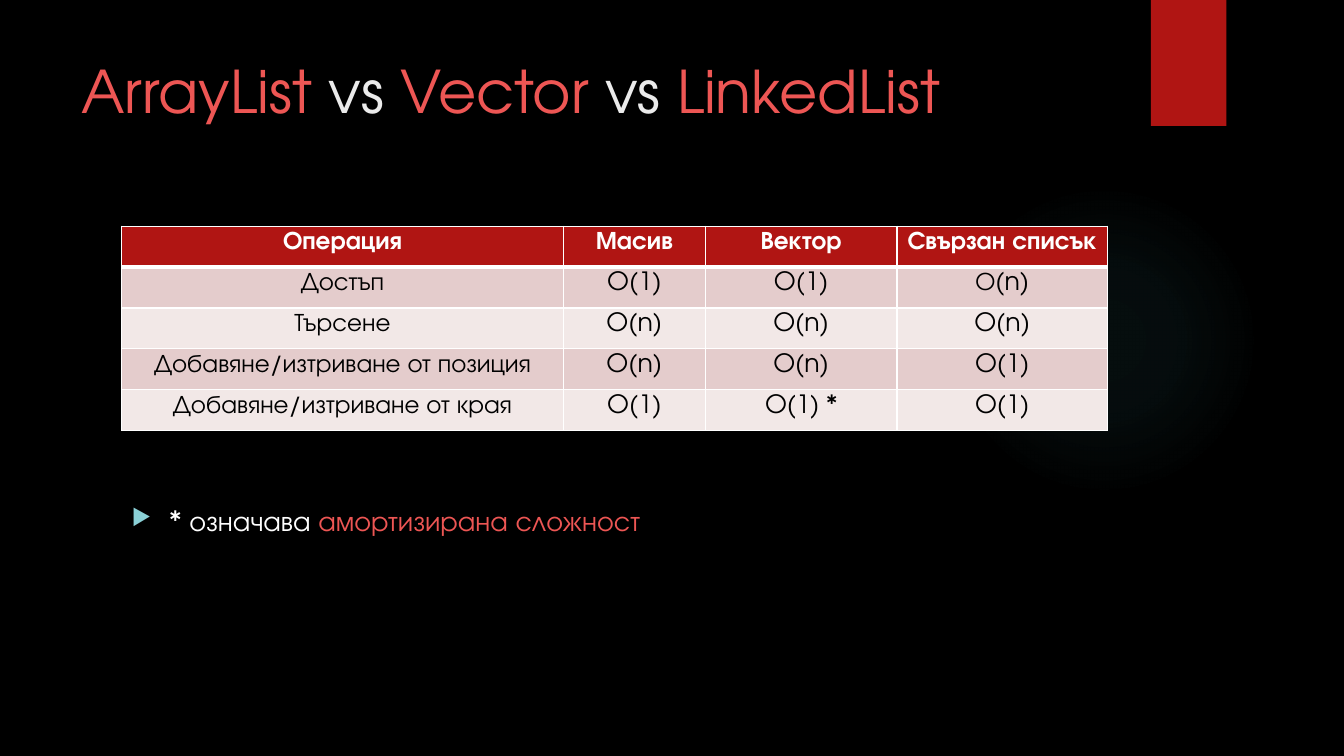
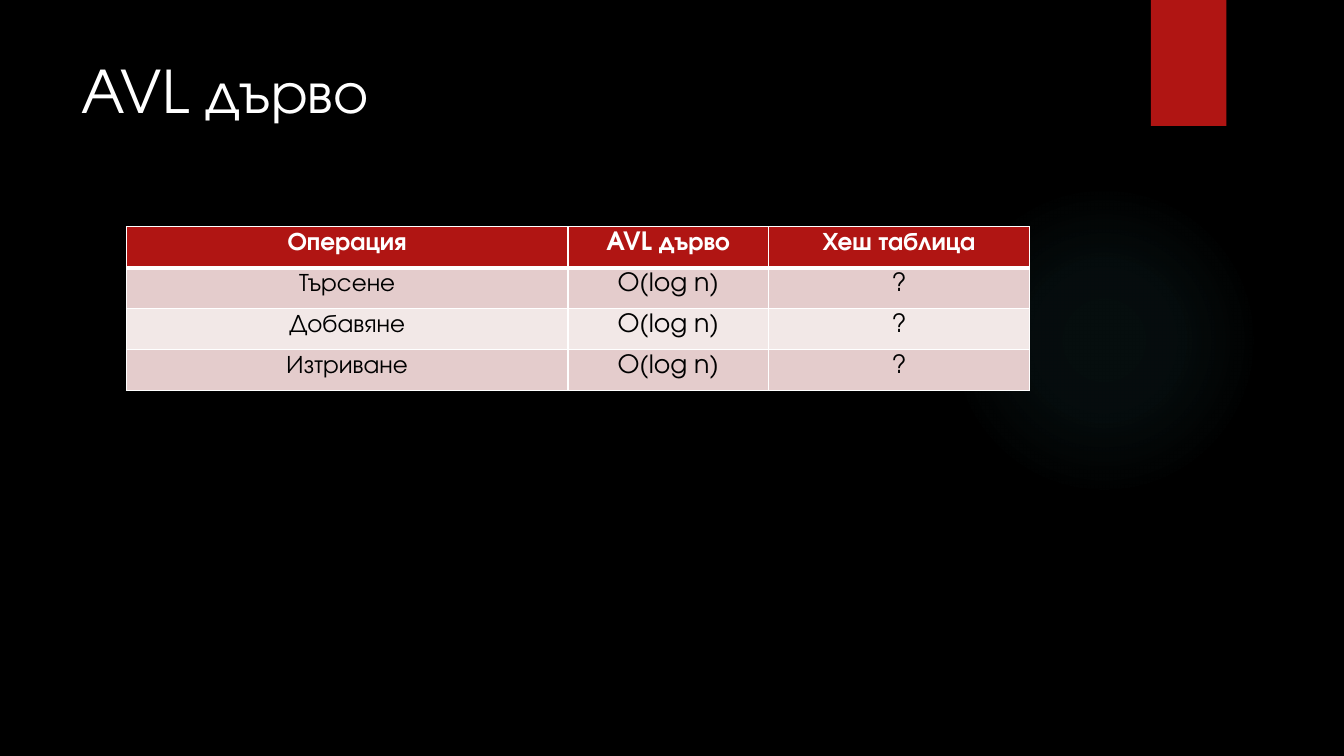
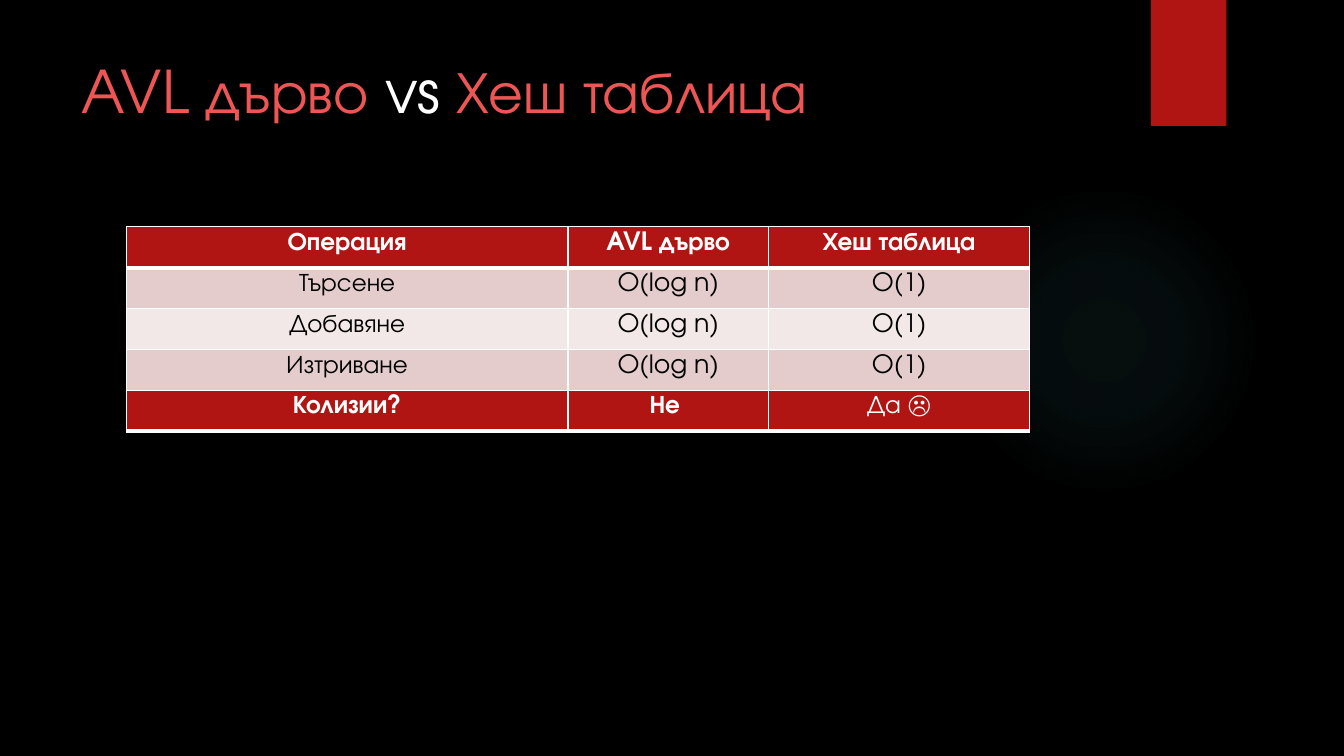
from pptx import Presentation
from pptx.dml.color import RGBColor
from pptx.enum.shapes import MSO_SHAPE as Geo
from pptx.enum.text import MSO_ANCHOR as Anchor, PP_ALIGN as Align
from pptx.oxml import parse_xml
from pptx.oxml.ns import nsdecls, qn
from pptx.util import Pt

FONT = "TeX Gyre Adventor"
BLACK = RGBColor(0x00, 0x00, 0x00)
WHITE = RGBColor(0xFF, 0xFF, 0xFF)
PALE = RGBColor(0xEB, 0xEB, 0xEB)
RED = RGBColor(0xB0, 0x15, 0x13)
CORAL = RGBColor(0xED, 0x56, 0x54)
BANDS = RGBColor(0xE4, 0xCC, 0xCC), RGBColor(0xF2, 0xE8, 0xE7)
TEAL = RGBColor(0x50, 0xB9, 0xC1)
AQUA = RGBColor(0x8A, 0xD0, 0xD6)

ROW = 29.2
LEFT = 90.3
TOP = 162
COLS = [315.4, 143.3, 186.5]
HEAD = ["Операция", "AVL дърво", "Хеш таблица"]
TASKS = ["Търсене", "Добавяне", "Изтриване"]


def tree(cost):
    return [HEAD] + [[task, "O(log n)", cost] for task in TASKS]


LISTS = [
    ["Операция", "Масив", "Вектор", "Свързан списък"],
    ["Достъп", "O(1)", "O(1)", "О(n)"],
    ["Търсене", "O(n)", "O(n)", "O(n)"],
    ["Добавяне/изтриване от позиция", "O(n)", "O(n)", "O(1)"],
    ["Добавяне/изтриване от края", "O(1)", "O(1) *", "O(1)"],
]
SLIDES = [
    {
        "title": [("ArrayList", CORAL), (" vs ", PALE), ("Vector", CORAL),
                  (" vs ", PALE), ("LinkedList", CORAL)],
        "tables": [(87, 161.6, [315.4, 101.5, 136.8, 150.5], LISTS)],
        "note": [("* означава ", WHITE), ("амортизирана сложност", CORAL)],
    },
    {
        "title": [("AVL дърво", WHITE)],
        "tables": [(LEFT, TOP, COLS, tree("?"))],
    },
    {
        "title": [("AVL дърво ", CORAL), ("vs ", WHITE), ("Хеш таблица", CORAL)],
        "tables": [
            (LEFT, TOP, COLS, tree("O(1)")),
            (LEFT, TOP + 4 * ROW, COLS, [["Колизии?", "Не ", "Да ☹"]]),
        ],
    },
]


def add_run(para, text, size, color, bold=False):
    run = para.add_run()
    run.text = text
    font = run.font
    font.name, font.size, font.bold = FONT, Pt(size), bold
    font.color.rgb = color


def add_text(slide, box, runs, size):
    frame = slide.shapes.add_textbox(*map(Pt, box)).text_frame
    frame.word_wrap = True
    frame.vertical_anchor = Anchor.TOP
    para = frame.paragraphs[0]
    for text, color in runs:
        add_run(para, text, size, color)
    return para


def add_bullet(para):
    para.space_before = Pt(10)
    props = para._p.get_or_add_pPr()
    props.set("marL", str(Pt(27)))
    props.set("indent", str(-Pt(27)))
    for xml in (f'<a:buClr {nsdecls("a")}><a:srgbClr val="{AQUA}"/></a:buClr>',
                f'<a:buSzPct {nsdecls("a")} val="80000"/>',
                f'<a:buChar {nsdecls("a")} char="▶"/>'):
        props.append(parse_xml(xml))


def add_plain(slide, geo, *box):
    shape = slide.shapes.add_shape(geo, *map(Pt, box))
    shape.shadow.inherit = False
    shape.line.fill.background()
    return shape


def add_decor(slide):
    glow = add_plain(slide, Geo.OVAL, 677.5, 131.8, 221.8, 221.8)
    stops = "".join(
        f'<a:gs pos="{pos}000"><a:srgbClr val="{TEAL}">'
        f'<a:alpha val="{alpha}000"/></a:srgbClr></a:gs>'
        for pos, alpha in ((0, 7), (36, 6), (69, 0)))
    glow.element.spPr.insert(2, parse_xml(
        f'<a:gradFill {nsdecls("a")}><a:gsLst>{stops}</a:gsLst>'
        '<a:path path="circle"><a:fillToRect l="50000" t="50000" '
        'r="50000" b="50000"/></a:path></a:gradFill>'))
    band = add_plain(slide, Geo.RECTANGLE, 822, 0, 54, 90)
    band.fill.solid()
    band.fill.fore_color.rgb = RED
    band.element.spPr.find(qn("a:effectLst")).append(parse_xml(
        f'<a:outerShdw {nsdecls("a")} blurRad="{Pt(3)}" dist="{Pt(2)}" '
        f'dir="5400000" rotWithShape="0"><a:srgbClr val="{BLACK}">'
        '<a:alpha val="45000"/></a:srgbClr></a:outerShdw>'))


def set_cell(cell, text, num):
    head = num == 0
    cell.vertical_anchor = Anchor.TOP
    cell.margin_top, cell.margin_bottom = Pt(3.6), 0
    cell.margin_left = cell.margin_right = Pt(5.4)
    props = cell._tc.get_or_add_tcPr()
    wide = {"B": head, "T": num == 1}
    for side in "LRTB":
        width = Pt(3 if wide.get(side) else 1)
        props.append(parse_xml(
            f'<a:ln{side} {nsdecls("a")} w="{width}"><a:solidFill>'
            f'<a:srgbClr val="{WHITE}"/></a:solidFill></a:ln{side}>'))
    cell.fill.solid()
    cell.fill.fore_color.rgb = RED if head else BANDS[(num - 1) % 2]
    para = cell.text_frame.paragraphs[0]
    para.alignment = Align.CENTER
    add_run(para, text, 18, WHITE if head else BLACK, head and "☹" not in text)


def add_grid(slide, left, top, cols, rows):
    box = left, top, sum(cols), ROW * len(rows)
    table = slide.shapes.add_table(len(rows), len(cols), *map(Pt, box)).table
    table.horz_banding = False
    table.first_row = False
    for col, width in zip(table.columns, cols):
        col.width = Pt(width)
    for num, row in enumerate(rows):
        table.rows[num].height = Pt(ROW)
        for pos, text in enumerate(row):
            set_cell(table.cell(num, pos), text, num)


def main():
    prs = Presentation()
    prs.slide_width, prs.slide_height = Pt(960), Pt(540)
    back = prs.slide_master.background.fill
    back.solid()
    back.fore_color.rgb = BLACK
    for item in SLIDES:
        slide = prs.slides.add_slide(prs.slide_layouts[6])
        add_decor(slide)
        add_text(slide, (51, 35.5, 741, 110), item["title"], 42)
        if "note" in item:
            add_bullet(add_text(slide, (87, 356.4, 704, 135), item["note"], 20))
        for grid in item["tables"]:
            add_grid(slide, *grid)
    prs.save("out.pptx")


if __name__ == "__main__":
    main()
